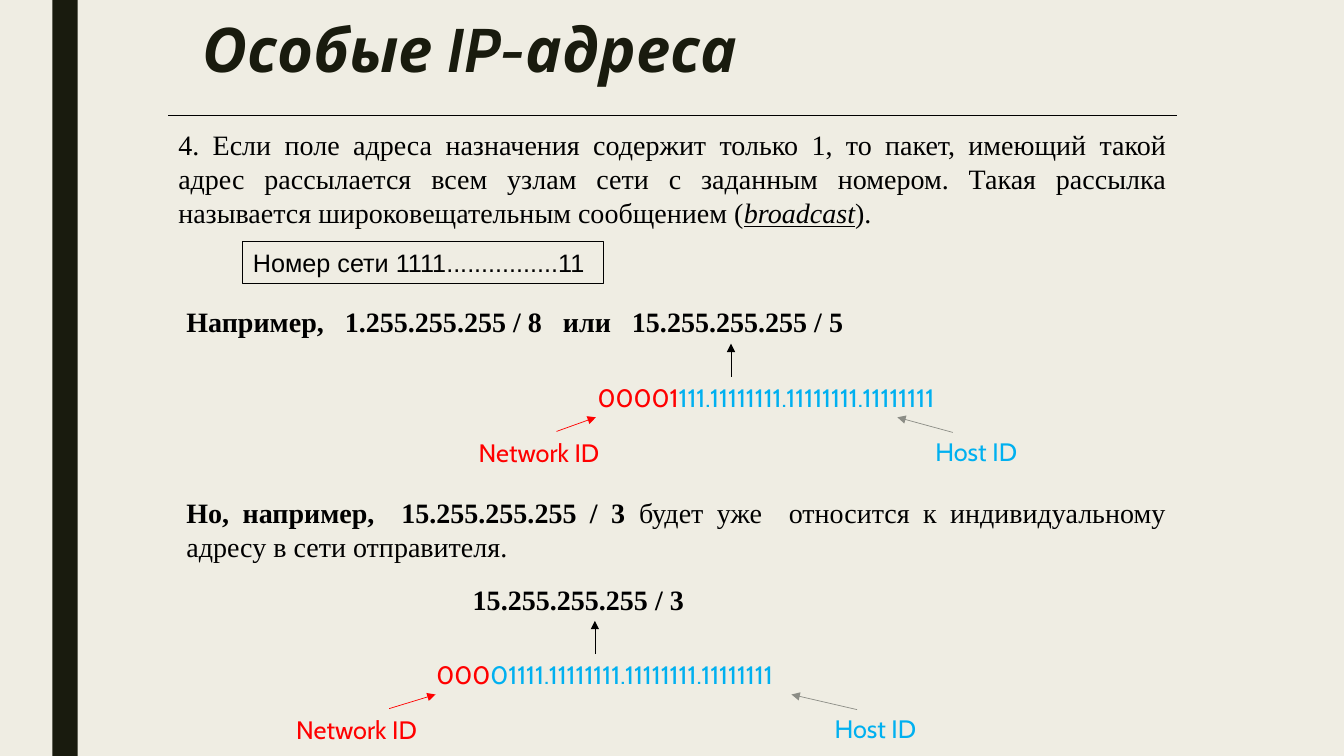
import pptx
import pptx.util
import pptx.dml.color
import pptx.enum.shapes
import pptx.enum.text
import pptx.oxml
import pptx.oxml.ns

Inches, Pt = pptx.util.Inches, pptx.util.Pt
RGBColor = pptx.dml.color.RGBColor
RECT = pptx.enum.shapes.MSO_SHAPE.RECTANGLE
STRAIGHT = pptx.enum.shapes.MSO_CONNECTOR.STRAIGHT
LEFT = pptx.enum.text.PP_ALIGN.LEFT
JUSTIFY = pptx.enum.text.PP_ALIGN.JUSTIFY

CREAM = RGBColor(0xEF, 0xED, 0xE3)
DARK = RGBColor(0x19, 0x1B, 0x0E)
BLACK = RGBColor(0, 0, 0)
RED = RGBColor(0xFF, 0, 0)
BLUE = RGBColor(0, 0xB0, 0xF0)
GRAY = RGBColor(0x8C, 0x8D, 0x86)
SERIF, CABIN = "Times New Roman", "Cabin"

prs = pptx.Presentation()
prs.slide_width, prs.slide_height = Inches(13.33), Inches(7.5)
s = prs.slides.add_slide(prs.slide_layouts[6])
s.background.fill.solid()
s.background.fill.fore_color.rgb = CREAM


def add_text(box, runs, size, font, align=LEFT, wrap=True):
    """Each run is (text, colour, styles), styles being any of "b", "i", "u"."""
    tf = box.text_frame
    tf.word_wrap = wrap
    p = tf.paragraphs[0]
    p.alignment = align
    for text, color, styles in runs:
        r = p.add_run()
        r.text = text
        r.font.size, r.font.name = Pt(size), font
        r.font.color.rgb = color
        r.font.bold, r.font.italic = "b" in styles, "i" in styles
        r.font.underline = "u" in styles
    return box


def add_line(x1, y1, x2, y2, color, width, arrow=True):
    line = s.shapes.add_connector(STRAIGHT, Inches(x1), Inches(y1), Inches(x2), Inches(y2))
    line.line.color.rgb = color
    line.line.width = Pt(width)
    if arrow:
        tail = pptx.oxml.parse_xml(
            '<a:tailEnd %s type="triangle"/>' % pptx.oxml.ns.nsdecls("a"))
        line.line._get_or_add_ln().append(tail)
    line._element.spPr.append(
        pptx.oxml.parse_xml("<a:effectLst %s/>" % pptx.oxml.ns.nsdecls("a")))
    return line


# Side bar
bar = s.shapes.add_shape(RECT, Inches(0.52), 0, Inches(0.25), Inches(7.5))
bar.shadow.inherit = False
bar.fill.solid()
bar.fill.fore_color.rgb = DARK
bar.line.fill.background()

# Title and rule
title = s.shapes.add_textbox(Inches(1.91), Inches(0.15), Inches(9), Inches(0.85))
add_text(title, [("Особые IP-адреса", DARK, "bi")], 44, CABIN)
title.text_frame.paragraphs[0].line_spacing = 0.89
add_line(1.67, 1.15, 11.67, 1.15, BLACK, 0.75, arrow=False)

# Paragraphs: left, top, width, height, alignment, runs
paragraphs = [
    (1.67, 1.22, 10, 1.11, JUSTIFY, [
        ("4. Если поле адреса назначения содержит только 1, то пакет, имеющий такой "
         "адрес рассылается всем узлам сети с заданным номером. Такая рассылка "
         "называется широковещательным сообщением (", BLACK, ""),
        ("broadcast", BLACK, "iu"),
        (").", BLACK, "")]),
    (1.75, 2.97, 6.75, 0.44, JUSTIFY, [
        ("Например,   1.255.255.255 / 8   или   15.255.255.255 / 5", BLACK, "b")]),
    (1.75, 4.87, 9.91, 0.77, JUSTIFY, [
        ("Но, например,  15.255.255.255 / 3 ", BLACK, "b"),
        ("будет уже  относится к индивидуальному адресу в сети отправителя.", BLACK, "")]),
    (4.59, 5.73, 2.62, 0.44, LEFT, [("15.255.255.255 / 3", BLACK, "b")]),
]
for x, y, w, h, align, runs in paragraphs:
    box = s.shapes.add_textbox(Inches(x), Inches(y), Inches(w), Inches(h))
    add_text(box, runs, 20, SERIF, align)

# Framed address format
frame = s.shapes.add_shape(RECT, Inches(2.41), Inches(2.4), Inches(3.58), Inches(0.41))
frame.shadow.inherit = False
frame.fill.background()
frame.line.color.rgb = BLACK
frame.line.width = Pt(0.75)
add_text(frame, [("Номер сети 1111................11", BLACK, "")], 18, "Arial", wrap=False)

# Binary breakdowns: top, address left and width, bits, up arrow x,
# network arrow from/to x, host arrow start x, label lefts and width
breakdowns = [
    (3.74, 5.83, 6.14, "00001", "111.11111111.11111111.11111111",
     7.25, 5.52, 5.91, 9.45, 4.65, 9.18, 2),
    (6.49, 4.23, 7.24, "000", "01111.11111111.11111111.11111111",
     5.9, 3.86, 4.32, 8.5, 2.84, 8.18, 2.36),
]
for (y, x, w, net_bits, host_bits, up_x, net_from, net_to, host_from,
     net_x, host_x, label_w) in breakdowns:
    address = s.shapes.add_textbox(Inches(x), Inches(y), Inches(w), Inches(0.4))
    add_text(address, [(net_bits, RED, ""), (host_bits, BLUE, "")], 18, CABIN)
    add_line(up_x, y, up_x, y - 0.33, BLACK, 0.5)
    add_line(net_from, y + 0.54, net_to, y + 0.4, RED, 0.5)
    host_arrow = add_line(host_from, y + 0.55, x + w / 2, y + 0.4, GRAY, 0.5)
    host_arrow.end_connect(address, 2)
    for label, label_x, dy, color in [("Network ID", net_x, 0.55, RED),
                                      ("Host ID", host_x, 0.54, BLUE)]:
        box = s.shapes.add_textbox(Inches(label_x), Inches(y + dy),
                                   Inches(label_w), Inches(0.4))
        add_text(box, [(label, color, "")], 18, CABIN)

prs.save("out.pptx")
